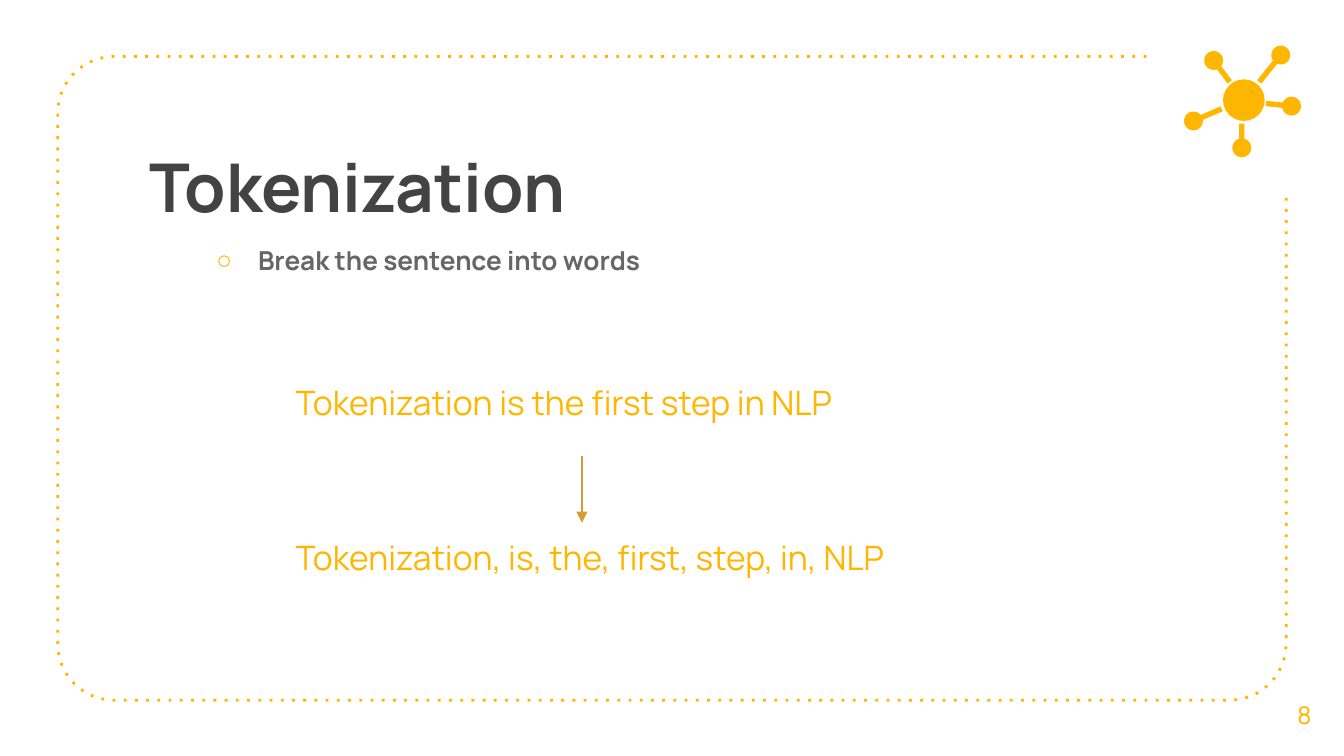
"""Build a slide that explains tokenization with one example."""
from dataclasses import dataclass
from math import asin, atan2, cos, pi, sin

from lxml.etree import SubElement
from pptx import Presentation
from pptx.dml.color import RGBColor
from pptx.enum.shapes import MSO_CONNECTOR, MSO_SHAPE
from pptx.enum.text import MSO_ANCHOR, MSO_AUTO_SIZE, PP_ALIGN
from pptx.oxml.ns import qn
from pptx.util import Inches, Pt


@dataclass(frozen=True)
class Theme:
    """Colours, font and type sizes of the slide."""

    font: str = "Manrope"
    accent: str = "FFB600"
    title: str = "434343"
    body: str = "666666"
    arrow: str = "D79D34"
    title_size: int = 36
    example_size: int = 18
    list_size: int = 14
    number_size: int = 13


THEME = Theme()


def rgb(value):
    """Turn a hex string into a colour."""
    return RGBColor.from_string(value)


def arc(center, radius, start, end, steps=12):
    """Return points along an arc, with angles in radians."""
    angles = (start + (end - start) * step / steps for step in range(steps + 1))
    return [(center[0] + radius * cos(a), center[1] + radius * sin(a)) for a in angles]


def add_outline(page, points, close):
    """Add a freeform through points given in inches."""
    corners = [(Inches(x), Inches(y)) for x, y in points]
    builder = page.shapes.build_freeform(*corners[0], scale=1.0)
    builder.add_line_segments(corners[1:], close=close)
    shape = builder.convert_to_shape()
    shape.shadow.inherit = False
    return shape


def paint(shape):
    """Fill a shape with the accent colour and hide its line."""
    shape.fill.solid()
    shape.fill.fore_color.rgb = rgb(THEME.accent)
    shape.line.fill.background()


def add_frame(page):
    """Add the dotted frame that leaves the top right corner open."""
    left, right, top, bottom, radius = 0.43, 9.57, 0.42, 5.21, 0.42
    near, far = left + radius, right - radius
    high, low = top + radius, bottom - radius
    points = [(8.53, top)]
    points += arc((near, high), radius, -pi / 2, -pi)
    points += arc((near, low), radius, pi, pi / 2)
    points += arc((far, low), radius, pi / 2, 0)
    points.append((right, 1.46))
    frame = add_outline(page, points, close=False)
    frame.fill.background()
    frame.line.color.rgb = rgb(THEME.accent)
    frame.line.width = Pt(1.5)
    SubElement(frame.line._get_or_add_ln(), qn("a:prstDash"), val="dot")


def add_spoke(page, center, end, radius=0.07, half_width=0.02):
    """Add a dot with a stem that points to the hub."""
    angle = atan2(end[1] - center[1], end[0] - center[0])
    opening = asin(half_width / radius)
    points = arc(center, radius, angle + opening, angle - opening + 2 * pi, 40)
    for side in (-1, 1):
        points.append((end[0] - side * half_width * sin(angle),
                       end[1] + side * half_width * cos(angle)))
    paint(add_outline(page, points, close=True))


def add_network(page):
    """Add the hub and its five spokes."""
    spokes = [
        ((9.53, 0.41), (9.37, 0.61)),
        ((9.03, 0.45), (9.15, 0.61)),
        ((8.88, 0.9), (9.09, 0.81)),
        ((9.24, 1.1), (9.24, 0.92)),
        ((9.61, 0.79), (9.42, 0.77)),
    ]
    for center, end in spokes:
        add_spoke(page, center, end)
    hub = page.shapes.add_shape(MSO_SHAPE.OVAL, Inches(9.1), Inches(0.59),
                                Inches(0.31), Inches(0.31))
    hub.shadow.inherit = False
    paint(hub)


def write(box, area, lines, size, color, bold=False,
          anchor=MSO_ANCHOR.TOP, align=PP_ALIGN.LEFT):
    """Place a text box and write its lines in one style."""
    box.left, box.top, box.width, box.height = map(Inches, area)
    frame = box.text_frame
    frame.word_wrap = True
    frame.auto_size = MSO_AUTO_SIZE.NONE
    frame.vertical_anchor = anchor
    frame.margin_left = frame.margin_right = Inches(0.1)
    frame.margin_top = frame.margin_bottom = Inches(0.1)
    frame.text = "\n".join(lines)
    for para in frame.paragraphs:
        para.alignment = align
        para.line_spacing = 1.0
        para.space_before = Pt(0)
        para.font.name = THEME.font
        para.font.size = Pt(size)
        para.font.bold = bold
        para.font.color.rgb = rgb(color)
    return frame.paragraphs


def set_bullet(para, char=None, margin=0, indent=0):
    """Give a paragraph an accent bullet, or none, and its indents."""
    props = para._p.get_or_add_pPr()
    props.set("marL", str(Inches(margin)))
    props.set("indent", str(Inches(indent)))
    if char is None:
        SubElement(props, qn("a:buNone"))
        return
    color = SubElement(props, qn("a:buClr"))
    SubElement(color, qn("a:srgbClr"), val=THEME.accent)
    SubElement(props, qn("a:buChar"), char=char)


def add_arrow(page, start, end):
    """Add a thin arrow between two points."""
    arrow = page.shapes.add_connector(MSO_CONNECTOR.STRAIGHT,
                                      *map(Inches, start + end))
    arrow.line.color.rgb = rgb(THEME.arrow)
    arrow.line.width = Pt(0.75)
    SubElement(arrow.line._get_or_add_ln(), qn("a:tailEnd"), type="triangle")
    SubElement(arrow._element.spPr, qn("a:effectLst"))


def main():
    """Build and save the deck."""
    deck = Presentation()
    deck.slide_width, deck.slide_height = Inches(10), Inches(10 * 9 / 16)
    page = deck.slides.add_slide(deck.slide_layouts.get_by_name("Two Content"))
    title, examples, summary = list(page.placeholders)[:3]

    add_frame(page)
    write(title, (1.01, 0.98, 7.51, 0.94), ["Tokenization"],
          THEME.title_size, THEME.title, bold=True)

    sentence, tokens = write(
        examples, (2.1, 2.74, 5.8, 1.62),
        ["Tokenization is the first step in NLP",
         "Tokenization, is, the, first, step, in, NLP"],
        THEME.example_size, THEME.accent)
    for para, gap in ((sentence, 6), (tokens, 61.5)):
        para.space_before = Pt(gap)
        set_bullet(para)

    point, = write(summary, (1.01, 1.72, 5.8, 1.1),
                   ["Break the sentence into words"],
                   THEME.list_size, THEME.body, bold=True)
    point.level = 1
    set_bullet(point, "○", 0.81, -0.31)

    number = page.shapes.add_textbox(0, 0, 0, 0)
    write(number, (9.41, 5.02, 0.59, 0.6), ["8"], THEME.number_size, THEME.accent,
          anchor=MSO_ANCHOR.MIDDLE, align=PP_ALIGN.CENTER)

    add_network(page)
    add_arrow(page, (4.33, 3.39), (4.33, 3.89))
    deck.save("out.pptx")


if __name__ == "__main__":
    main()
